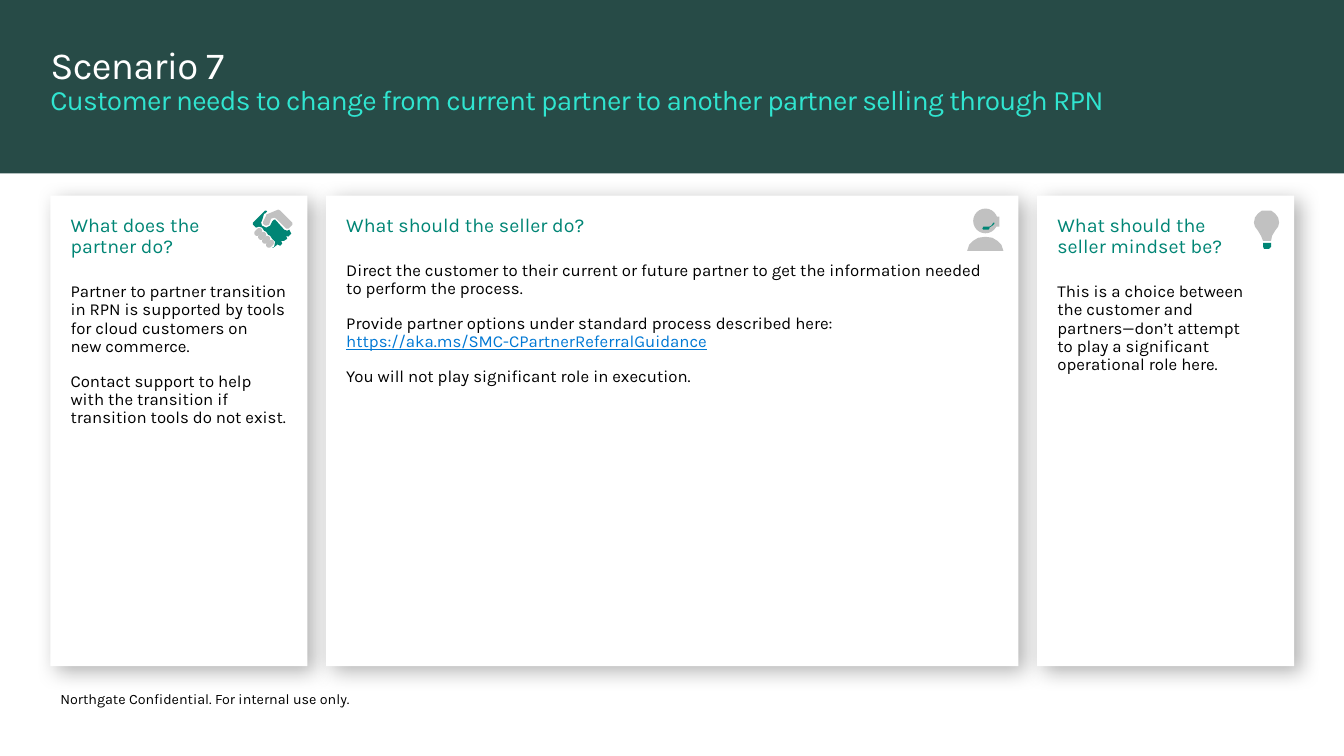
from lxml import etree
from pptx import Presentation
from pptx.dml.color import RGBColor
from pptx.enum.shapes import MSO_SHAPE
from pptx.enum.text import MSO_ANCHOR, PP_ALIGN
from pptx.oxml import parse_xml
from pptx.oxml.ns import nsdecls
from pptx.util import Pt

RECTANGLE, OVAL, PILL = MSO_SHAPE.RECTANGLE, MSO_SHAPE.OVAL, MSO_SHAPE.ROUNDED_RECTANGLE
TOP, LEFT = MSO_ANCHOR.TOP, PP_ALIGN.LEFT
FONT = "Karla"
COLORS = {
    "banner": "274B47", "mint": "30E5D0", "teal": "008575", "grey": "C1C1C1",
    "white": "FFFFFF", "black": "000000", "link": "0078D4",
}
SLIDE_WIDTH, SLIDE_HEIGHT = 960, 540
MARGIN = 36
CARD_TOP, CARD_HEIGHT = 139.7, 336.2
SIDE_WIDTH, CARD_GAP = 183.6, 13.35
ICON_UNIT = 0.72  # points per step of the icon outlines

DARK_HAND = [
    (37, 22), (36, 20), (34, 21), (31, 20), (22, 10), (21, 10), (19, 12), (17, 16), (13, 18),
    (9, 16), (8, 13), (9, 11), (11, 4), (12, 4), (14, 2), (13, 1), (12, 1), (0, 13), (0, 15),
    (3, 18), (6, 17), (9, 18), (11, 21), (13, 22), (15, 25), (17, 26), (19, 29), (22, 32),
    (21, 37), (19, 38), (20, 38), (24, 35), (23, 34), (27, 36), (29, 34), (28, 31), (31, 31),
    (34, 29), (33, 26), (35, 27), (38, 24),
]
LIGHT_HAND = [
    (25, 0), (13, 5), (13, 6), (10, 12), (10, 14), (11, 15), (13, 16), (16, 15), (17, 12),
    (18, 9), (21, 8), (23, 9), (33, 19), (35, 19), (39, 15), (39, 13), (27, 1),
]
SHOULDERS = [(0, 41), (2, 35), (6, 31), (11, 28), (18, 27), (25, 28), (30, 31), (34, 35), (36, 41)]
MICROPHONE = [
    (16, 17), (22, 17), (24, 16), (26, 13), (27, 13), (27, 14), (25, 16), (22, 18),
    (22, 19), (21, 20), (16, 20), (15, 19),
]
BULB = [
    (17, 30), (18, 25), (21, 20), (24, 16), (25, 12), (24, 7), (21, 3), (17, 0), (13, -0.5),
    (8, 0), (4, 3), (1, 7), (0, 12), (1, 16), (4, 20), (7, 25), (9, 30),
]
BULB_BASE = [(9, 32), (17, 32), (17, 36), (15, 38), (10, 38), (9, 36)]


def rgb(name):
    return RGBColor.from_string(COLORS[name])


def paint(shape, color):
    shape.shadow.inherit = False
    shape.fill.solid()
    shape.fill.fore_color.rgb = rgb(color)
    shape.line.fill.background()
    return shape


def add_shape(slide, kind, box, color):
    return paint(slide.shapes.add_shape(kind, *map(Pt, box)), color)


def add_paragraph(frame, *pieces, size=12, color="black", line_spacing=0.9, after=0, spacing=None):
    """Append a paragraph; a piece is text, or a (text, colour) pair that is underlined."""
    paragraph = frame.paragraphs[0]
    if paragraph.runs:
        paragraph = frame.add_paragraph()
    paragraph.alignment = LEFT
    paragraph.line_spacing = line_spacing
    paragraph.space_before, paragraph.space_after = Pt(0), Pt(after)
    for piece in pieces:
        text, run_color = (piece, color) if isinstance(piece, str) else piece
        for number, line in enumerate(text.split("\n")):
            if number:
                paragraph.add_line_break()
            if not line:
                continue
            run = paragraph.add_run()
            run.text = line
            run.font.name, run.font.size = FONT, Pt(size)
            run.font.color.rgb = rgb(run_color)
            if run_color != color:
                run.font.underline = True
            if spacing:
                run.font._element.set("spc", str(int(spacing * 100)))


def set_frame(shape, horizontal=0, vertical=0):
    frame = shape.text_frame
    frame.word_wrap = True
    frame.vertical_anchor = TOP
    frame.margin_left = frame.margin_right = Pt(horizontal)
    frame.margin_top = frame.margin_bottom = Pt(vertical)
    return frame


def add_text_box(slide, box, text, insets=(0, 0), **text_format):
    frame = set_frame(slide.shapes.add_textbox(*map(Pt, box)), *insets)
    add_paragraph(frame, text, **text_format)


def add_card_shadow(shape):
    effects = shape._element.spPr.find("{*}effectLst")
    effects.append(parse_xml(
        f'<a:outerShdw {nsdecls("a")} blurRad="{Pt(15)}" dist="{Pt(6)}" dir="2400000" '
        'algn="tl" rotWithShape="0"/>'))
    color = etree.SubElement(effects[0], effects[0].tag.replace("outerShdw", "srgbClr"),
                             val=COLORS["black"])
    etree.SubElement(color, color.tag.replace("srgbClr", "alpha"), val="30000")


def add_outline(slide, left, top, points, color):
    builder = slide.shapes.build_freeform(*points[0], scale=float(Pt(ICON_UNIT)))
    builder.add_line_segments(points[1:], close=True)
    paint(builder.convert_to_shape(Pt(left), Pt(top)), color)


def add_handshake(slide, right, top):
    left = right - 28.1
    add_outline(slide, left, top, DARK_HAND, "teal")
    width, height = 6.4, 4.2
    for finger in range(4):
        center_x, center_y = left + 3.8 + 2.8 * finger, top + 16 + 2.8 * finger
        knuckle = add_shape(slide, PILL, (center_x - width / 2, center_y - height / 2,
                                          width, height), "grey")
        knuckle.adjustments[0] = 0.5
        knuckle.rotation = -45
    add_outline(slide, left, top, LIGHT_HAND, "grey")


def add_agent(slide, right, top):
    left = right - 25.9
    add_shape(slide, OVAL, (left + 4.3, top - 0.7, 17.5, 17.7), "grey")
    add_shape(slide, RECTANGLE, (left + 18, top + 5, 5, 7.2), "grey")
    add_outline(slide, left, top, SHOULDERS, "grey")
    add_outline(slide, left, top, MICROPHONE, "teal")


def add_light_bulb(slide, right, top):
    left = right - 18
    add_outline(slide, left, top + 0.7, BULB, "grey")
    add_outline(slide, left, top + 0.7, BULB_BASE, "teal")


def add_card(slide, box, heading, paragraphs, add_icon):
    """Place a shadowed card with its heading, text and top-right icon."""
    left, top, width, _ = box
    card = add_shape(slide, RECTANGLE, box, "white")
    add_card_shadow(card)
    frame = set_frame(card, 14.4, 14.4)
    add_paragraph(frame, heading, size=14, color="teal", after=18)
    for pieces in paragraphs:
        add_paragraph(frame, *pieces, after=12)
    add_icon(slide, left + width - 10.8, top + 10)


def add_banner(slide, box, title, subtitle):
    left, top, width, _ = box
    text_width = width - MARGIN - 34
    add_shape(slide, RECTANGLE, box, "banner")
    add_text_box(slide, (left + MARGIN, top + 31, text_width, 31.4), title,
                 size=27.4, color="white", line_spacing=Pt(31.4), spacing=-0.5)
    add_text_box(slide, (left + MARGIN, top + 62, text_width, 21.6), subtitle,
                 size=20, color="mint", spacing=-0.5)


def add_cards(slide, left, top, width, height):
    center_width = width - 2 * (SIDE_WIDTH + CARD_GAP)
    cards = [
        (SIDE_WIDTH, "What does the \npartner do?", [
            ["Partner to partner transition in RPN is supported by tools for cloud customers on "
             "\nnew commerce."],
            ["Contact support to help with the transition if transition tools do not exist."],
        ], add_handshake),
        (center_width, "What should the seller do?", [
            ["Direct the customer to their current or future partner to get the information "
             "needed to perform the process."],
            ["Provide partner options under standard process described here: \n",
             ("https://aka.ms/SMC-CPartnerReferralGuidance", "link")],
            ["You will not play significant role in execution."],
        ], add_agent),
        (SIDE_WIDTH, "What should the \nseller mindset be?", [
            ["This is a choice between \nthe customer and \npartners—don’t attempt "
             "\nto play a significant operational role here."],
        ], add_light_bulb),
    ]
    for card_width, heading, paragraphs, add_icon in cards:
        add_card(slide, (left, top, card_width, height), heading, paragraphs, add_icon)
        left += card_width + CARD_GAP


def main():
    presentation = Presentation()
    presentation.slide_width, presentation.slide_height = Pt(SLIDE_WIDTH), Pt(SLIDE_HEIGHT)
    slide = presentation.slides.add_slide(presentation.slide_layouts[6])
    add_banner(slide, (0, 0, SLIDE_WIDTH, 123.8), "Scenario 7",
               "Customer needs to change from current partner to another partner selling "
               "through RPN")
    add_text_box(slide, (MARGIN, 491.8, 330.5, 29.5),
                 "Northgate Confidential. For internal use only.",
                 insets=(7.2, 3.6), size=10.2, line_spacing=0.8)
    add_cards(slide, MARGIN, CARD_TOP, SLIDE_WIDTH - 2 * MARGIN + 0.5, CARD_HEIGHT)
    presentation.save("out.pptx")


if __name__ == "__main__":
    main()
